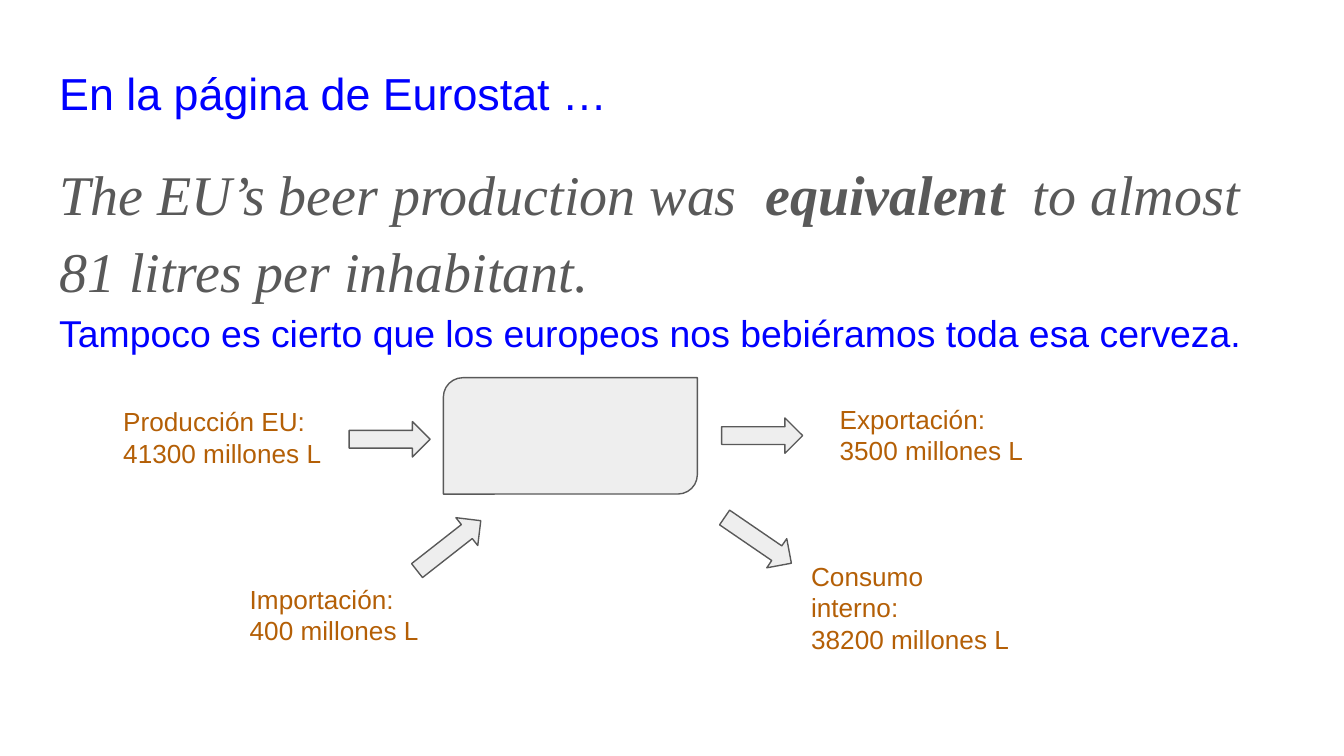
from pptx import Presentation
from pptx.dml.color import RGBColor
from pptx.enum.shapes import MSO_SHAPE as Shape
from pptx.util import Cm, Pt

COLORS = {
    "blue": "0000FF",
    "gray": "595959",
    "brown": "B45F06",
    "fill": "EEEEEE",
}


class FlowSlide:
    font = "Arial"
    quote_font = "Times New Roman"
    inset = Cm(0.25)

    def __init__(self, prs):
        self.s = prs.slides.add_slide(prs.slide_layouts[6])

    def color(self, name):
        return RGBColor.from_string(COLORS[name])

    def style(self, r, size, color, font=None):
        r.font.size = Pt(size)
        r.font.name = font or self.font
        r.font.color.rgb = self.color(color)

    def textbox(self, x, y, w, h):
        tf = self.s.shapes.add_textbox(Cm(x), Cm(y), Cm(w), Cm(h)).text_frame
        tf.word_wrap = True
        tf.margin_left = tf.margin_right = self.inset
        tf.margin_top = tf.margin_bottom = self.inset
        return tf

    def body(self, x, y, w, h, title, quote, remark):
        tf = self.textbox(x, y, w, h)
        tf.text = "\n".join([title, "", remark])
        first, middle, last = tf.paragraphs
        for p in tf.paragraphs:
            p.line_spacing = 1.15
        self.style(first.runs[0], 24, "blue")
        self.style(last.runs[0], 20, "blue")
        middle.space_before = Pt(16)
        for text, bold in quote:
            r = middle.add_run()
            r.text = text
            self.style(r, 30, "gray", self.quote_font)
            r.font.italic = True
            r.font.bold = bold

    def label(self, x, y, w, name, amount):
        tf = self.textbox(x, y, w, 1.78)
        tf.text = f"{name}:\n{amount} millones L"
        for p in tf.paragraphs:
            self.style(p.runs[0], 14, "brown")

    def shape(self, kind, x, y, w, h):
        sp = self.s.shapes.add_shape(kind, Cm(x), Cm(y), Cm(w), Cm(h))
        sp.shadow.inherit = False
        sp.fill.solid()
        sp.fill.fore_color.rgb = self.color("fill")
        sp.line.color.rgb = self.color("gray")
        sp.line.width = Pt(0.75)
        return sp

    def market(self, x, y, w, h):
        sp = self.shape(Shape.ROUND_2_DIAG_RECTANGLE, x, y, w, h)
        sp.adjustments[0] = 0.167
        sp.adjustments[1] = 0

    def arrow(self, x, y, angle):
        sp = self.shape(Shape.RIGHT_ARROW, x, y, 1.53, 0.67)
        sp.rotation = angle


def main():
    prs = Presentation()
    prs.slide_width = Cm(25.4)
    prs.slide_height = Cm(14.29)
    slide = FlowSlide(prs)

    slide.body(
        0.87, 0.84, 23.67, 11.86,
        "En la página de Eurostat …",
        [
            ("The EU’s beer production was  ", False),
            ("equivalent  ", True),
            ("to almost 81 litres per inhabitant.", False),
        ],
        "Tampoco es cierto que los europeos nos bebiéramos toda esa cerveza.",
    )
    slide.market(8.38, 7.14, 4.8, 2.2)

    flows = [
        ("Producción EU", 41300, (2.08, 7.42, 4.4), (6.6, 7.97, 0)),
        ("Exportación", 3500, (15.62, 7.37, 4.4), (13.64, 7.9, 0)),
        ("Importación", 400, (4.47, 10.78, 3.94), (7.72, 9.98, 321.9)),
        ("Consumo interno", 38200, (15.08, 10.34, 4.4), (13.56, 9.88, 34.4)),
    ]
    for name, amount, label, arrow in flows:
        slide.label(*label, name, amount)
        slide.arrow(*arrow)

    prs.save("out.pptx")


if __name__ == "__main__":
    main()
